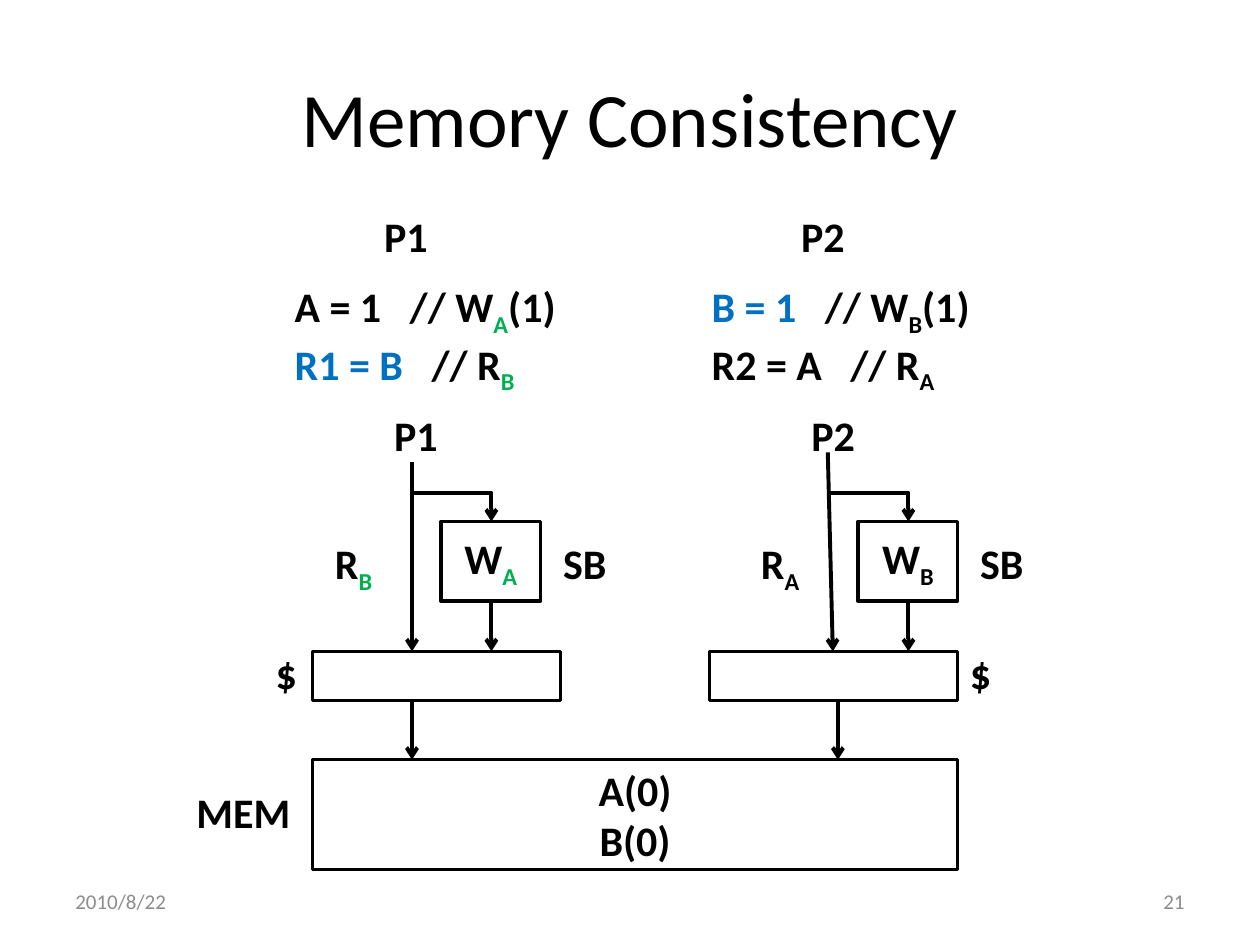
import pptx
import pptx.util
import pptx.dml.color
import pptx.enum.shapes
import pptx.enum.text
import pptx.oxml.ns
import lxml.etree

COLORS = {"ink": "000000", "green": "00B050", "blue": "0070C0", "gray": "8C8C8C"}
ALIGN = pptx.enum.text.PP_ALIGN
ANCHOR = pptx.enum.text.MSO_ANCHOR
KIND = pptx.enum.shapes.MSO_SHAPE
LINK = pptx.enum.shapes.MSO_CONNECTOR
qn = pptx.oxml.ns.qn

deck = pptx.Presentation()
deck.slide_width = pptx.util.Inches(10)
deck.slide_height = pptx.util.Inches(7.5)
slide = deck.slides.add_slide(deck.slide_layouts[6])

# The grid has 100 columns and 75 rows
COLUMN = deck.slide_width / 100
ROW = deck.slide_height / 75


def block(cells, lines, outlined=False, size=24, bold=True, align=ALIGN.LEFT,
          anchor=ANCHOR.TOP, wrap=False):
    """Place text, optionally in an outlined box; lines hold (text, colour, subscript) runs."""
    place = [int(n * unit) for n, unit in zip(cells, (COLUMN, ROW) * 2)]
    if outlined:
        part = slide.shapes.add_shape(KIND.RECTANGLE, *place)
        part.shadow.inherit = False
        part.fill.background()
        part.line.color.rgb = pptx.dml.color.RGBColor.from_string(COLORS["ink"])
        part.line.width = pptx.util.Pt(2)
        align, anchor = ALIGN.CENTER, ANCHOR.MIDDLE
    else:
        part = slide.shapes.add_textbox(*place)
    frame = part.text_frame
    for key, value in {"word_wrap": wrap, "vertical_anchor": anchor}.items():
        setattr(frame, key, value)
    for index, line in enumerate(lines):
        paragraph = frame.add_paragraph() if index else frame.paragraphs[0]
        paragraph.alignment = align
        for text, color, subscript in line:
            run = paragraph.add_run()
            run.text = text
            style = {"name": "Calibri", "size": pptx.util.Pt(size), "bold": bold}
            for key, value in style.items():
                setattr(run.font, key, value)
            run.font.color.rgb = pptx.dml.color.RGBColor.from_string(COLORS[color])
            if subscript:
                run.font._element.set("baseline", "-25000")


def arrow(x1, y1, x2, y2, bent=False):
    """Draw an arrow between two grid points, straight or with one corner."""
    link = slide.shapes.add_connector(
        LINK.ELBOW if bent else LINK.STRAIGHT,
        int(x1 * COLUMN), int(y1 * ROW), int(x2 * COLUMN), int(y2 * ROW))
    link.line.color.rgb = pptx.dml.color.RGBColor.from_string(COLORS["ink"])
    link.line.width = pptx.util.Pt(2.25)
    properties = link._element.spPr
    if bent:
        properties.find(qn("a:prstGeom")).set("prst", "bentConnector2")
    lxml.etree.SubElement(link.line._get_or_add_ln(), qn("a:tailEnd"), type="arrow")
    lxml.etree.SubElement(properties, qn("a:effectLst"))


block((5, 3, 90, 12.5), [[("Memory Consistency", "ink", False)]], size=44, bold=False,
      align=ALIGN.CENTER, anchor=ANCHOR.MIDDLE, wrap=True)

processors = [
    {"name": "P1", "shift": 0, "subscript": "green", "written": "A", "read": "B",
     "code": [[("A = 1   // W", "ink", False), ("A", "green", True), ("(1)", "ink", False)],
              [("R1 = B   ", "blue", False), ("// R", "ink", False), ("B ", "green", True)]],
     "read_column": 25.6, "cache": 24.8, "cache_label": 20.9,
     "load": (32.7, 36.7, 32.7), "memory_column": 32.7},
    {"name": "P2", "shift": 33.1, "subscript": "ink", "written": "B", "read": "A",
     "code": [[("B = 1   ", "blue", False), ("// W", "ink", False), ("B", "ink", True),
               ("(1)", "ink", False)],
              [("R2 = A   // R", "ink", False), ("A ", "ink", True)]],
     "read_column": 59.4, "cache": 56.3, "cache_label": 76,
     "load": (65.7, 35.9, 66.1), "memory_column": 66.5},
]
BUFFER_TOP, BUFFER_BOTTOM = 41.4, 47.7
CACHE_TOP, CACHE_BOTTOM, MEMORY_TOP = 51.7, 55.6, 60.3

for cpu in processors:
    shift, tint = cpu["shift"], cpu["subscript"]
    name = [[(cpu["name"], "ink", False)]]
    block((29.5 + shift, 16.2, 5.5, 5.1), name)
    block((22.4 + shift, 21.8, 25.2, 9.1), cpu["code"], wrap=True)
    block((30.3 + shift, 32, 5.5, 5.1), name)
    block((cpu["read_column"], 42.2, 5.2, 5.1),
          [[("R", "ink", False), (cpu["read"], tint, True)]])
    block((35 + shift, BUFFER_TOP, 7.9, BUFFER_BOTTOM - BUFFER_TOP),
          [[("W", "ink", False), (cpu["written"], tint, True)]], outlined=True)
    block((43.7 + shift, 42.2, 5.5, 5.1), [[("SB", "ink", False)]])
    block((cpu["cache"], CACHE_TOP, 19.7, CACHE_BOTTOM - CACHE_TOP), [], outlined=True)
    block((cpu["cache_label"], 50.9, 3.7, 5.1), [[("$", "ink", False)]])
    start, top, end = cpu["load"]
    arrow(start, top, end, CACHE_TOP)
    arrow(32.7 + shift, 39.1, 39 + shift, BUFFER_TOP, bent=True)
    arrow(39 + shift, BUFFER_BOTTOM, 39 + shift, CACHE_TOP)
    arrow(cpu["memory_column"], CACHE_BOTTOM, cpu["memory_column"], MEMORY_TOP)

block((24.8, MEMORY_TOP, 51.2, 8.7),
      [[("A(0)", "ink", False)], [("B(0)", "ink", False)]], outlined=True)
block((14.6, 61.9, 9.5, 5.1), [[("MEM", "ink", False)]])

for column, text, align in ((5, "2010/8/22", ALIGN.LEFT), (71.7, "21", ALIGN.RIGHT)):
    block((column, 69.5, 23.3, 4), [[(text, "gray", False)]], size=12, bold=False,
          align=align, anchor=ANCHOR.MIDDLE, wrap=True)

deck.save("out.pptx")
